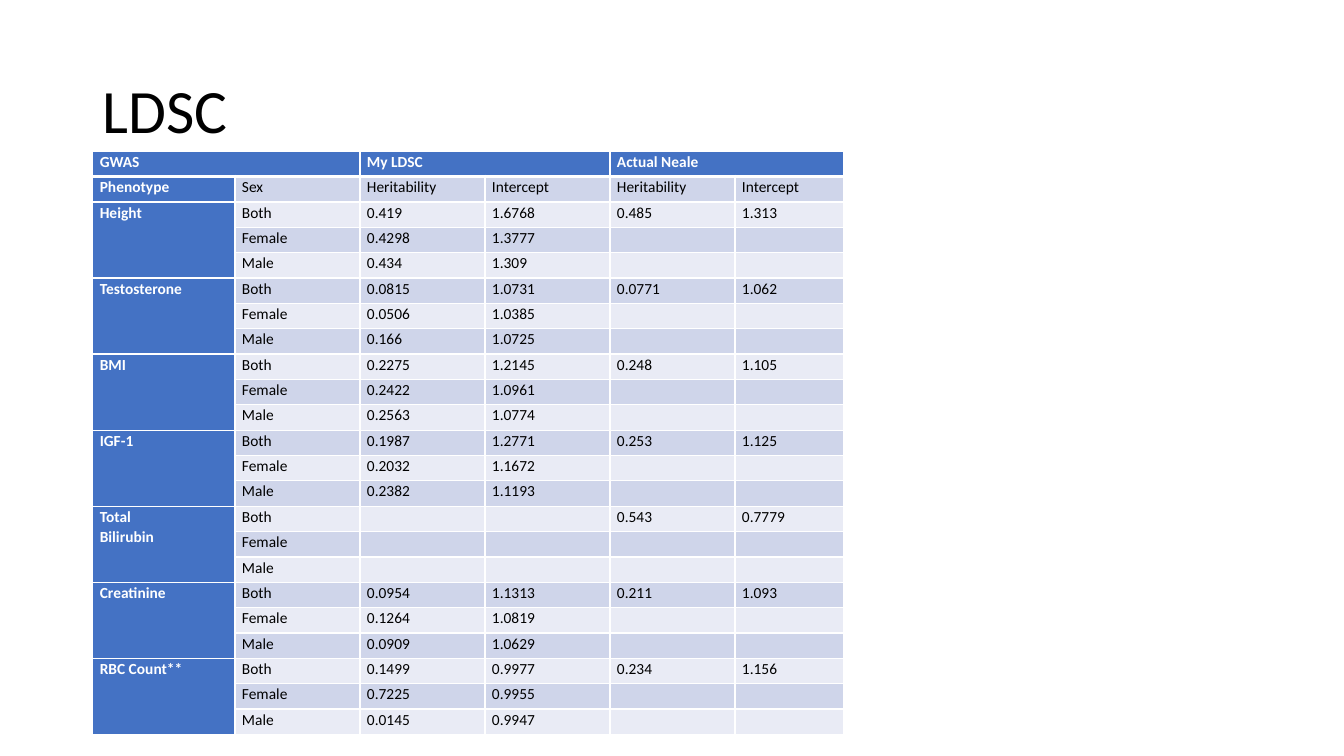
from dataclasses import dataclass

from lxml import etree
from pptx import Presentation, util as u
from pptx.dml.color import RGBColor
from pptx.enum import text
from pptx.oxml import ns

BLUE = RGBColor(0x44, 0x72, 0xC4)
DARK_BAND = RGBColor(0xCF, 0xD5, 0xEA)
LIGHT_BAND = RGBColor(0xE9, 0xEB, 0xF5)
WHITE = RGBColor(0xFF, 0xFF, 0xFF)
BLACK = RGBColor(0, 0, 0)
FONT = "Calibri"
CELL_SIZE = u.Pt(11)
COLUMN_WIDTHS = (1.41, 1.24, 1.24, 1.24, 1.24, 1.08)
TABLE_HEIGHT = 5.79
SEXES = ("Both", "Female", "Male")


@dataclass(frozen=True)
class Phenotype:
    name: str
    estimates: tuple[tuple[str, str], ...]  # heritability and intercept per sex
    neale: tuple[str, str]

    def rows(self) -> list[list[str]]:
        rows = []
        for index, (sex, estimate) in enumerate(zip(SEXES, self.estimates)):
            first = index == 0
            reference = self.neale if first else ("", "")
            rows.append([self.name if first else "", sex, *estimate, *reference])
        return rows


PHENOTYPES = (
    Phenotype("Height", (("0.419", "1.6768"), ("0.4298", "1.3777"), ("0.434", "1.309")),
              ("0.485", "1.313")),
    Phenotype("Testosterone", (("0.0815", "1.0731"), ("0.0506", "1.0385"), ("0.166", "1.0725")),
              ("0.0771", "1.062")),
    Phenotype("BMI", (("0.2275", "1.2145"), ("0.2422", "1.0961"), ("0.2563", "1.0774")),
              ("0.248", "1.105")),
    Phenotype("IGF-1", (("0.1987", "1.2771"), ("0.2032", "1.1672"), ("0.2382", "1.1193")),
              ("0.253", "1.125")),
    Phenotype("Total\nBilirubin", (("", ""),) * 3, ("0.543", "0.7779")),
    Phenotype("Creatinine", (("0.0954", "1.1313"), ("0.1264", "1.0819"), ("0.0909", "1.0629")),
              ("0.211", "1.093")),
    Phenotype("RBC Count**", (("0.1499", "0.9977"), ("0.7225", "0.9955"), ("0.0145", "0.9947")),
              ("0.234", "1.156")),
)
HEADER_ROWS = [
    ["GWAS", "", "My LDSC", "", "Actual Neale", ""],
    ["Phenotype", "Sex", "Heritability", "Intercept", "Heritability", "Intercept"],
]


def add_run(paragraph, content: str, size: int, color: RGBColor, bold: bool) -> None:
    run = paragraph.add_run()
    run.text = content
    run.font.name = FONT
    run.font.size = size
    run.font.bold = bold
    run.font.color.rgb = color


def set_borders(cell, row: int) -> None:
    """Draw white cell borders, thicker below the first row."""
    widths = {"lnL": 1, "lnR": 1, "lnT": 3 if row == 1 else 1, "lnB": 3 if row == 0 else 1}
    properties = cell._tc.get_or_add_tcPr()
    for position, (side, width) in enumerate(widths.items()):
        line = etree.Element(ns.qn(f"a:{side}"), w=str(u.Pt(width)))
        fill = etree.SubElement(line, ns.qn("a:solidFill"))
        etree.SubElement(fill, ns.qn("a:srgbClr"), val=str(WHITE))
        properties.insert(position, line)


def fill_cell(cell, content: str, row: int, column: int) -> None:
    heading = row == 0 or column == 0
    band = DARK_BAND if row % 2 else LIGHT_BAND
    cell.fill.solid()
    cell.fill.fore_color.rgb = BLUE if heading else band
    cell.margin_left = cell.margin_right = u.Inches(0.07)
    cell.margin_top = cell.margin_bottom = 0
    set_borders(cell, row)
    frame = cell.text_frame
    for index, line in enumerate(content.split("\n")):
        paragraph = frame.add_paragraph() if index else frame.paragraphs[0]
        paragraph.line_spacing = 1.07
        if line:
            add_run(paragraph, line, CELL_SIZE, WHITE if heading else BLACK, heading)
        else:
            # An empty cell would otherwise take the default size and stretch its row.
            etree.SubElement(paragraph._p, ns.qn("a:endParaRPr"), sz="1100")


def add_title(slide) -> None:
    title = slide.shapes.title
    title.left, title.top = u.Inches(0.92), u.Inches(0.4)
    title.width, title.height = u.Inches(11.5), u.Inches(1.45)
    title.text_frame.vertical_anchor = text.MSO_ANCHOR.MIDDLE
    paragraph = title.text_frame.paragraphs[0]
    paragraph.alignment = text.PP_ALIGN.LEFT
    paragraph.line_spacing = 0.9
    add_run(paragraph, "LDSC", u.Pt(44), BLACK, False)


def add_heritability_table(slide) -> None:
    rows = HEADER_ROWS + [row for phenotype in PHENOTYPES for row in phenotype.rows()]
    table = slide.shapes.add_table(
        len(rows), len(COLUMN_WIDTHS), u.Inches(0.92), u.Inches(1.5),
        u.Inches(sum(COLUMN_WIDTHS)), u.Inches(TABLE_HEIGHT)).table
    table.first_col = True
    for column, width in zip(table.columns, COLUMN_WIDTHS):
        column.width = u.Inches(width)
    for row_index, contents in enumerate(rows):
        table.rows[row_index].height = u.Inches(TABLE_HEIGHT / len(rows))
        for column_index, content in enumerate(contents):
            fill_cell(table.cell(row_index, column_index), content, row_index, column_index)
    for column in range(0, len(COLUMN_WIDTHS), 2):
        table.cell(0, column).merge(table.cell(0, column + 1))
    for top in range(len(HEADER_ROWS), len(rows), len(SEXES)):
        table.cell(top, 0).merge(table.cell(top + len(SEXES) - 1, 0))


def main() -> None:
    presentation = Presentation()
    presentation.slide_width = u.Inches(13.33)
    presentation.slide_height = u.Inches(7.5)
    slide = presentation.slides.add_slide(presentation.slide_layouts.get_by_name("Title Only"))
    add_title(slide)
    add_heritability_table(slide)
    presentation.save("out.pptx")


if __name__ == "__main__":
    main()
